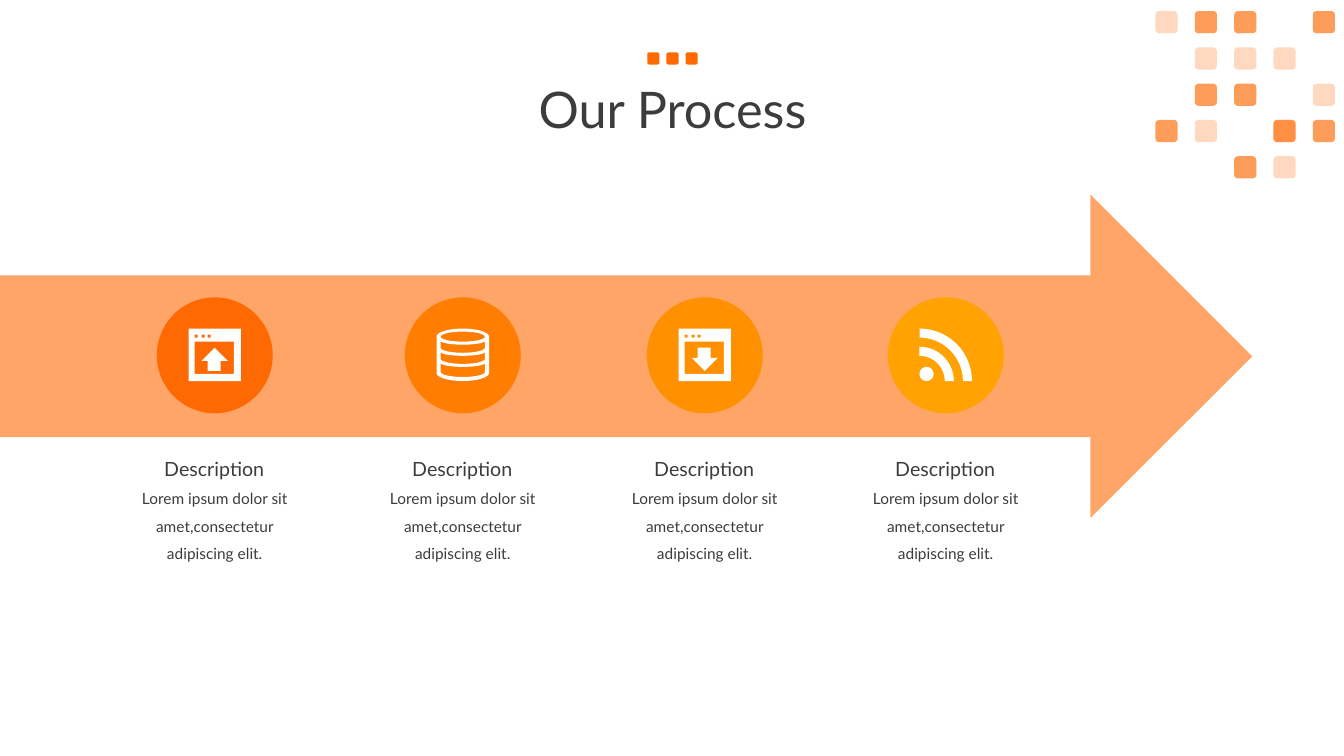
import math

import pptx
import pptx.dml.color
import pptx.enum.shapes
import pptx.enum.text
import pptx.util
from lxml import etree
from pptx.util import Inches

SHAPE = pptx.enum.shapes.MSO_SHAPE
ANCHOR = pptx.enum.text.MSO_ANCHOR
ALIGN = pptx.enum.text.PP_ALIGN

COLORS = {
    "text": "3C3C3C", "white": "FFFFFF", "arrow": "FEA567", "accent": "FE6902",
    "step2": "FF7D01", "step3": "FF9000", "step4": "FFA202",
}
TITLE = "Our Process"
BODY = "Lorem ipsum dolor sit amet,consectetur adipiscing elit."
STEPS = [  # centre x, colour, icon, heading, body
    (2.13, "accent", "upload", "Description", BODY),
    (4.59, "step2", "database", "Description", BODY),
    (6.99, "step3", "download", "Description", BODY),
    (9.38, "step4", "feed", "Description", BODY),
]
MOSAIC = ["lDD D", " lll ", " DD l", "Dl BD", "  Dl "]
OPACITY = {"l": [25], "D": [65], "B": [65, 25]}
MOSAIC_LEFT, MOSAIC_TOP, MOSAIC_DX, MOSAIC_DY, TILE = 11.46, 0.11, 0.39, 0.36, 0.22
CIRCLE, CIRCLE_TOP = 1.15, 2.95
ICON, ICON_TOP = 0.52, 3.26


def box(left, top, width, height):
    return [[left, top], [left + width, top],
            [left + width, top + height], [left, top + height]]


def arc(cx, cy, rx, ry, start, end, steps=24):
    """Points along an ellipse; degrees run clockwise from the right."""
    angles = [math.radians(start + (end - start) * i / steps) for i in range(steps + 1)]
    return [[cx + rx * math.cos(a), cy + ry * math.sin(a)] for a in angles]


def ring(outer, inner):
    """Quarter ring around the lower left corner of the icon."""
    return arc(0, ICON, outer, outer, 270, 360) + arc(0, ICON, inner, inner, 360, 270)


WINDOW = [box(0, 0, ICON, ICON), box(0.06, 0.13, 0.39, 0.32)]
WINDOW += [box(x, 0.06, 0.03, 0.03) for x in (0.06, 0.13, 0.19)]
UP = [[0.19, 0.42], [0.32, 0.42], [0.32, 0.32], [0.39, 0.32],
      [0.26, 0.19], [0.13, 0.32], [0.19, 0.32]]
DOWN = [[x, 0.61 - y] for x, y in UP]
DATABASE = [arc(0.26, 0.08, 0.26, 0.08, 180, 360) + arc(0.26, 0.44, 0.26, 0.08, 0, 180),
            arc(0.26, 0.08, 0.22, 0.05, 0, 360)]
DATABASE += [arc(0.26, top, 0.22, 0.04, 180, 0) + arc(0.26, bottom, 0.22, 0.05, 0, 180)
             for top, bottom in ((0.12, 0.19), (0.23, 0.3), (0.34, 0.43))]
ICONS = {  # each icon is a list of outlines, each outline a list of contours
    "upload": [WINDOW, [UP]],
    "database": [DATABASE],
    "download": [WINDOW, [DOWN]],
    "feed": [[ring(0.52, 0.43)], [ring(0.34, 0.25)], [arc(0.07, 0.45, 0.07, 0.07, 0, 360)]],
}


def paint(sp, color, opacity=100):
    sp.shadow.inherit = False
    sp.line.fill.background()
    sp.fill.solid()
    sp.fill.fore_color.rgb = pptx.dml.color.RGBColor.from_string(COLORS[color])
    if opacity < 100:
        clr = sp.fill._xPr.find(".//" + pptx.oxml.ns.qn("a:srgbClr"))
        etree.SubElement(clr, pptx.oxml.ns.qn("a:alpha"), val=str(opacity * 1000))


def add_shape(shapes, kind, left, top, width, height, color, opacity=100):
    sp = shapes.add_shape(kind, Inches(left), Inches(top), Inches(width), Inches(height))
    paint(sp, color, opacity)


def add_outline(shapes, contours, left, top):
    contours = [[(Inches(left + x), Inches(top + y)) for x, y in c] for c in contours]
    builder = shapes.build_freeform(*contours[0][0], scale=1.0)
    for i, points in enumerate(contours):
        if i:
            builder.move_to(*points[0])
        builder.add_line_segments(points[1:], close=True)
    paint(builder.convert_to_shape(), "white")


def add_text(shapes, text, left, top, width, height, size, spacing=1.0,
             anchor=ANCHOR.TOP, wrap=True):
    tf = shapes.add_textbox(Inches(left), Inches(top), Inches(width), Inches(height)).text_frame
    tf.word_wrap, tf.vertical_anchor = wrap, anchor
    p = tf.paragraphs[0]
    p.alignment, p.line_spacing = ALIGN.CENTER, spacing
    r = p.add_run()
    r.text = text
    for name, value in {"name": "Lato", "size": pptx.util.Pt(size)}.items():
        setattr(r.font, name, value)
    r.font.color.rgb = pptx.dml.color.RGBColor.from_string(COLORS["text"])


def main():
    prs = pptx.Presentation()
    prs.slide_width, prs.slide_height = Inches(13.33), Inches(7.5)
    shapes = prs.slides.add_slide(prs.slide_layouts[6]).shapes

    add_text(shapes, TITLE, 0.92, 0.39, 11.5, 1.45, 36, 0.9, ANCHOR.MIDDLE)
    mosaic = shapes.add_group_shape().shapes
    for row, tiles in enumerate(MOSAIC):
        for col, tile in enumerate(tiles):
            for opacity in OPACITY.get(tile, []):
                add_shape(mosaic, SHAPE.ROUNDED_RECTANGLE, MOSAIC_LEFT + col * MOSAIC_DX,
                          MOSAIC_TOP + row * MOSAIC_DY, TILE, TILE, "accent", opacity)
    dots = shapes.add_group_shape().shapes
    for i in range(3):
        add_shape(dots, SHAPE.ROUNDED_RECTANGLE, 6.42 + i * 0.19, 0.52, 0.12, 0.12, "accent")

    add_shape(shapes, SHAPE.NOTCHED_RIGHT_ARROW, -0.81, 1.93, 13.23, 3.21, "arrow")
    for center, color, icon, heading, body in STEPS:
        add_shape(shapes, SHAPE.OVAL, center - CIRCLE / 2, CIRCLE_TOP, CIRCLE, CIRCLE, color)
        group = shapes.add_group_shape().shapes
        for contours in ICONS[icon]:
            add_outline(group, contours, center - ICON / 2, ICON_TOP)
        add_text(shapes, heading, center - 0.63, 4.48, 1.25, 0.34, 14, wrap=False)
        add_text(shapes, body, center - 0.99, 4.71, 1.98, 0.9, 11, 1.5)

    prs.save("out.pptx")


if __name__ == "__main__":
    main()
